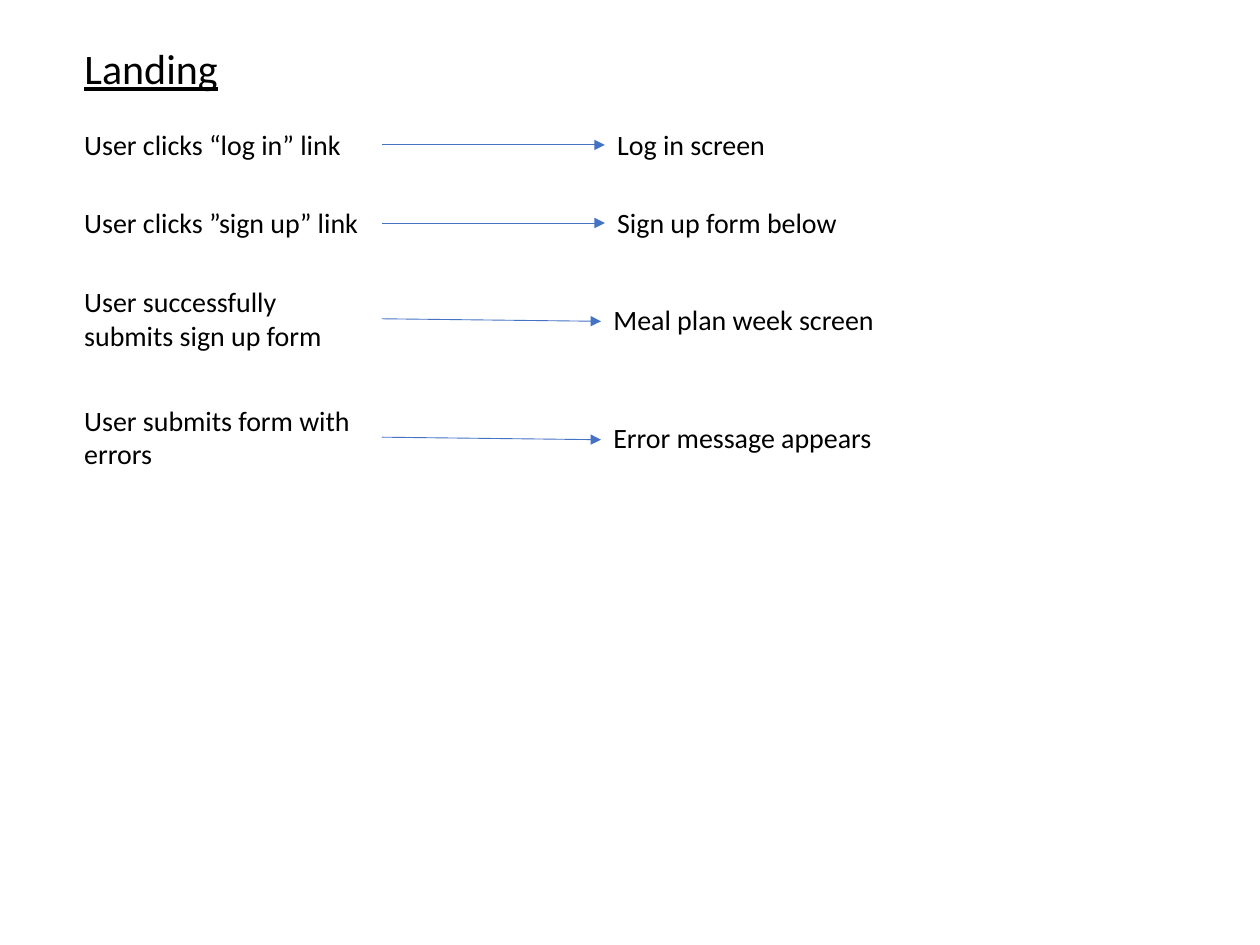
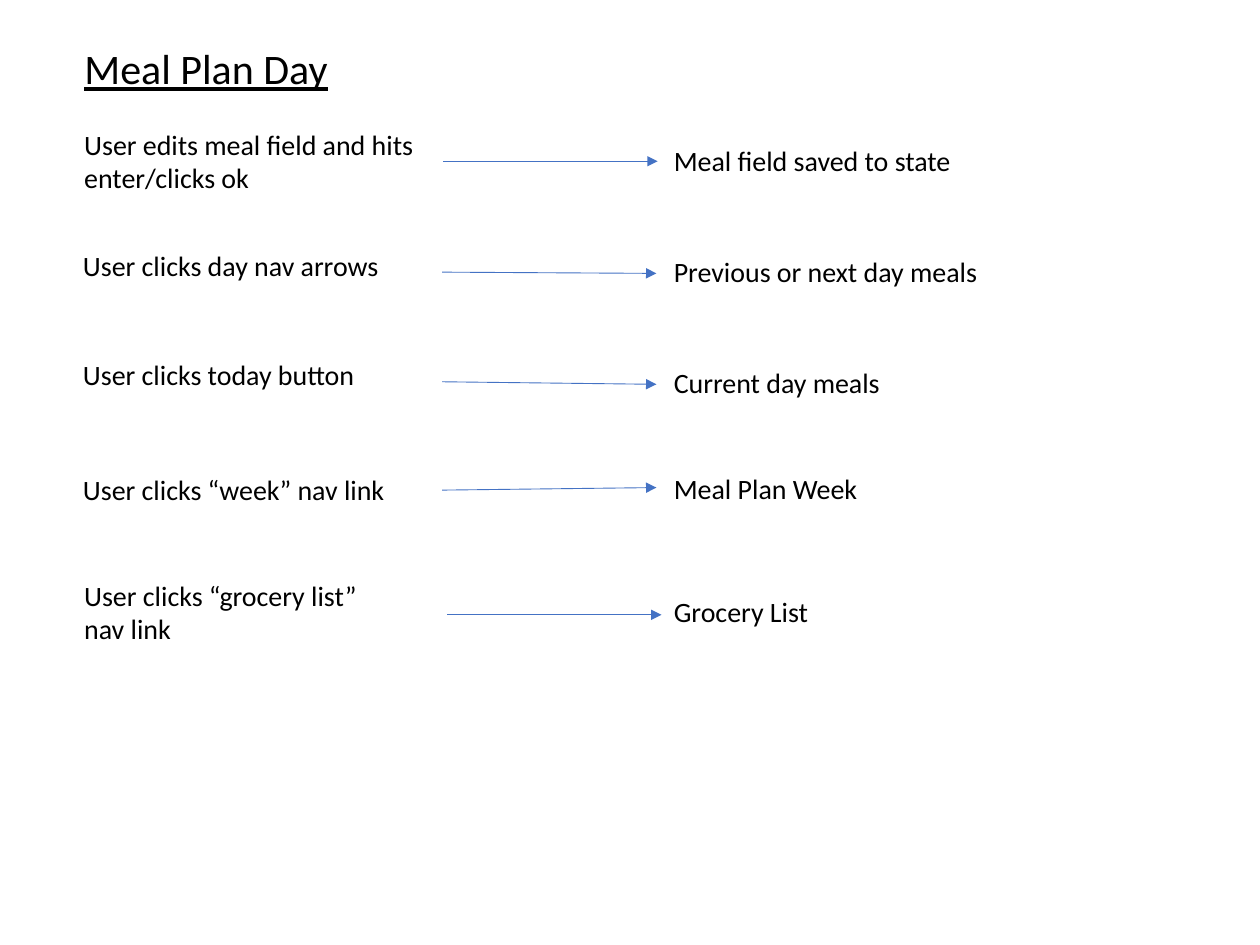
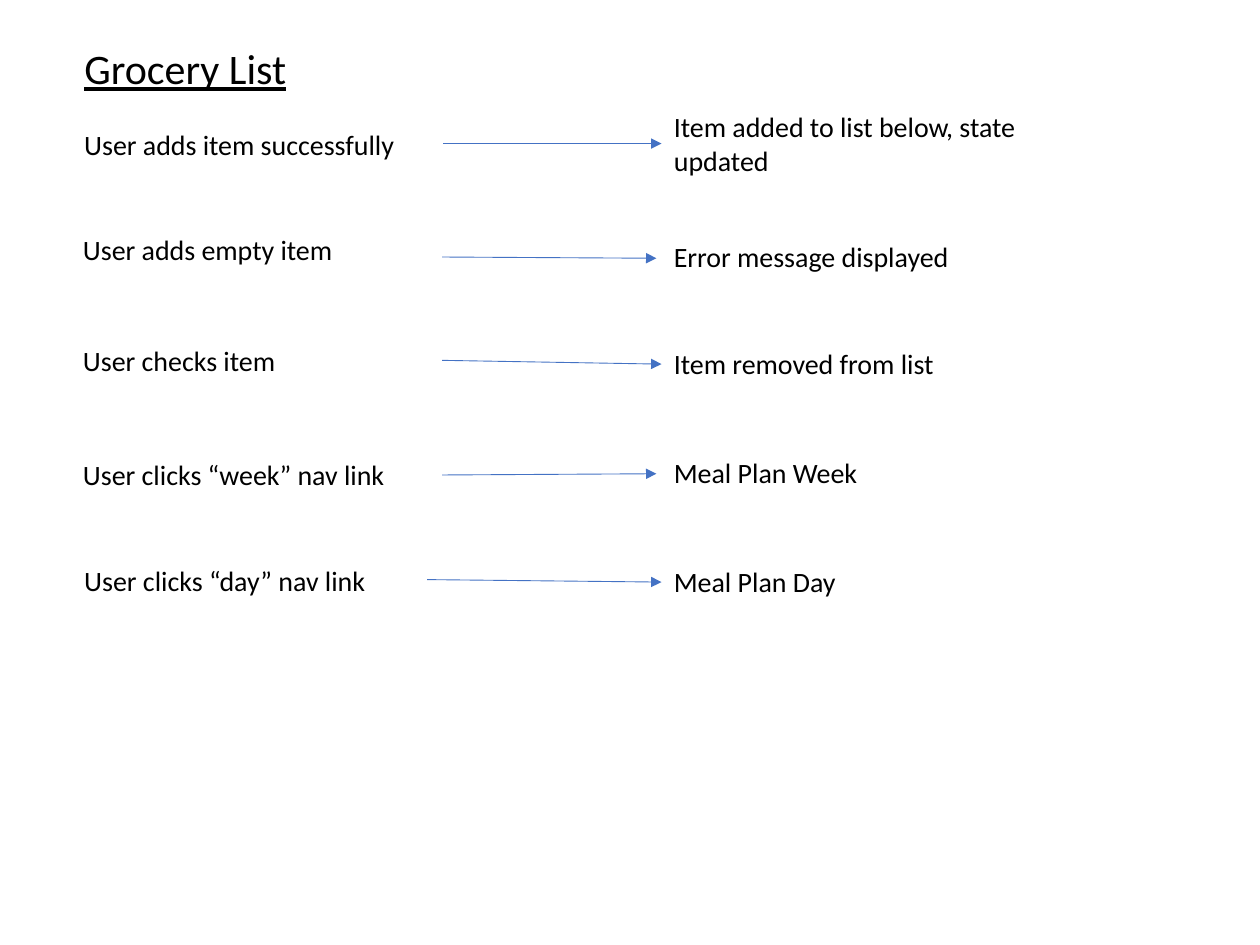
from lxml.etree import SubElement
from pptx import Presentation
from pptx.dml.color import RGBColor
from pptx.enum.shapes import MSO_CONNECTOR as CONNECTOR
from pptx.enum.text import MSO_ANCHOR as ANCHOR, MSO_AUTO_SIZE as AUTO_SIZE, PP_ALIGN as ALIGN
from pptx.oxml.ns import qn
from pptx.util import Inches, Pt

BLACK = RGBColor(0x00, 0x00, 0x00)
BLUE = RGBColor(0x44, 0x72, 0xC4)
WHITE = RGBColor(0xFF, 0xFF, 0xFF)
FONT = "Calibri"
TITLE_SIZE, BODY_SIZE = 24, 16
TITLE_LEFT, TITLE_TOP, TITLE_HEIGHT = 0.57, 0.29, 0.5
PADDING, LINE_HEIGHT = 0.1, 0.27

# Each flow: (action, left, top, width, lines), (result, left, top, width, lines), (x1, y1, x2, y2)
FLOWS = [
    ("Landing", 1.27, [
        (("User clicks “log in” link", 0.57, 0.96, 2.45, 1),
         ("Log in screen", 4.8, 0.96, 2.09, 1), (3.03, 1.15, 4.8, 1.15)),
        (("User clicks ”sign up” link", 0.57, 1.58, 2.45, 1),
         ("Sign up form below", 4.8, 1.58, 2.09, 1), (3.03, 1.77, 4.8, 1.77)),
        (("User successfully submits sign up form", 0.57, 2.21, 2.45, 2),
         ("Meal plan week screen", 4.77, 2.35, 2.45, 1), (3.03, 2.53, 4.77, 2.55)),
        (("User submits form with errors", 0.57, 3.15, 2.45, 2),
         ("Error message appears ", 4.77, 3.29, 2.45, 1), (3.03, 3.47, 4.77, 3.49)),
    ]),
    ("Meal Plan Day", 2.15, [
        (("User edits meal field and hits enter/clicks ok", 0.57, 0.96, 2.95, 2),
         ("Meal field saved to state", 5.25, 1.09, 3.19, 1), (3.52, 1.28, 5.22, 1.28)),
        (("User clicks day nav arrows", 0.56, 1.92, 2.95, 1),
         ("Previous or next day meals", 5.25, 1.97, 3.56, 1), (3.51, 2.16, 5.21, 2.17)),
        (("User clicks today button", 0.56, 2.79, 2.95, 1),
         ("Current day meals", 5.25, 2.85, 3.56, 1), (3.51, 3.03, 5.21, 3.05)),
        (("User clicks “week” nav link", 0.56, 3.7, 2.95, 1),
         ("Meal Plan Week", 5.25, 3.69, 2.45, 1), (3.51, 3.89, 5.21, 3.87)),
        (("User clicks “grocery list” nav link", 0.57, 4.54, 2.66, 2),
         ("Grocery List", 5.25, 4.67, 2.45, 1), (3.55, 4.88, 5.25, 4.88)),
    ]),
    ("Grocery List", 1.82, [
        (("User adds item successfully", 0.57, 0.96, 2.95, 1),
         ("Item added to list below, state updated", 5.25, 0.82, 3.19, 2), (3.52, 1.14, 5.25, 1.14)),
        (("User adds empty item", 0.56, 1.8, 2.95, 1),
         ("Error message displayed", 5.25, 1.85, 3.56, 1), (3.51, 2.04, 5.21, 2.05)),
        (("User checks item ", 0.56, 2.68, 2.95, 1),
         ("Item removed from list", 5.25, 2.7, 3.56, 1), (3.51, 2.86, 5.25, 2.89)),
        (("User clicks “week” nav link", 0.56, 3.58, 2.95, 1),
         ("Meal Plan Week", 5.25, 3.57, 2.45, 1), (3.51, 3.77, 5.21, 3.76)),
        (("User clicks “day” nav link", 0.57, 4.42, 2.71, 1),
         ("Meal Plan Day", 5.25, 4.43, 2.45, 1), (3.39, 4.6, 5.25, 4.62)),
    ]),
]


def write(frame, text, size, wrap):
    frame.text = text
    frame.word_wrap = wrap
    frame.auto_size = AUTO_SIZE.SHAPE_TO_FIT_TEXT
    frame.vertical_anchor = ANCHOR.TOP
    paragraph = frame.paragraphs[0]
    paragraph.alignment = ALIGN.LEFT
    paragraph.font.name = FONT
    paragraph.font.size = Pt(size)
    paragraph.font.color.rgb = BLACK
    return paragraph


def add_heading(slide, text, width):
    heading = slide.shapes.title
    heading.left, heading.top = Inches(TITLE_LEFT), Inches(TITLE_TOP)
    heading.width, heading.height = Inches(width), Inches(TITLE_HEIGHT)
    write(heading.text_frame, text, TITLE_SIZE, False).font.underline = True


def add_step(slide, text, left, top, width, lines):
    height = PADDING + LINE_HEIGHT * lines
    step = slide.shapes.add_textbox(*map(Inches, (left, top, width, height)))
    write(step.text_frame, text, BODY_SIZE, True)


def add_arrow(slide, ends):
    arrow = slide.shapes.add_connector(CONNECTOR.STRAIGHT, *map(Inches, ends))
    arrow.line.color.rgb = BLUE
    arrow.line.width = Pt(0.5)
    properties = arrow.line._get_or_add_ln()
    SubElement(properties, qn("a:tailEnd"), type="triangle")
    SubElement(properties.getparent(), qn("a:effectLst"))


deck = Presentation()
deck.slide_width, deck.slide_height = Inches(10), Inches(7.5)
title_only = deck.slide_layouts[5]
background = deck.slide_master.background.fill
background.solid()
background.fore_color.rgb = WHITE

for screen, heading_width, flows in FLOWS:
    slide = deck.slides.add_slide(title_only)
    add_heading(slide, screen, heading_width)
    for action, result, ends in flows:
        add_step(slide, *action)
        add_arrow(slide, ends)
        add_step(slide, *result)

deck.save("out.pptx")
